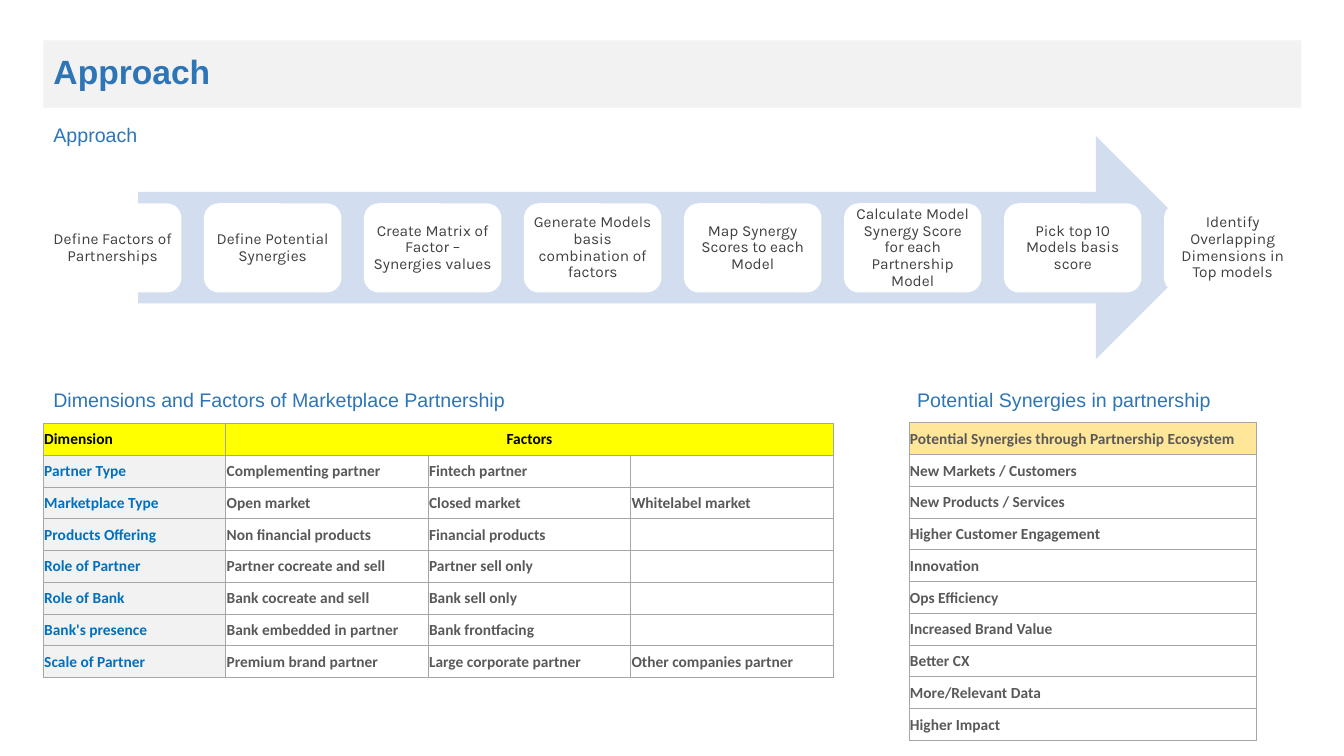
"""Build the Approach slide: process arrow, factor table and synergy table."""
from lxml.etree import SubElement
from pptx import Presentation
from pptx.dml.color import RGBColor
from pptx.enum.shapes import MSO_SHAPE
from pptx.enum.text import MSO_ANCHOR, PP_ALIGN
from pptx.oxml.ns import qn
from pptx.util import Pt

TITLE = "Approach"
HEADINGS = [
    ("Approach", 31, 82, 898.5),
    ("Dimensions and Factors of Marketplace Partnership", 31, 271.5, 479.5),
    ("Potential Synergies in partnership", 648, 271.5, 247.7),
]
STEPS = [
    "Define Factors of Partnerships",
    "Define Potential Synergies",
    "Create Matrix of Factor – Synergies values",
    "Generate Models basis combination of factors",
    "Map Synergy Scores to each Model",
    "Calculate Model Synergy Score for each Partnership Model",
    "Pick top 10 Models basis score",
    "Identify Overlapping Dimensions in Top models",
]
FACTORS = [
    ("Dimension", "Factors", "", ""),
    ("Partner Type", "Complementing partner", "Fintech partner", ""),
    ("Marketplace Type", "Open market", "Closed market", "Whitelabel market"),
    ("Products Offering", "Non financial products", "Financial products", ""),
    ("Role of Partner", "Partner cocreate and sell", "Partner sell only", ""),
    ("Role of Bank", "Bank cocreate and sell", "Bank sell only", ""),
    ("Bank's presence", "Bank embedded in partner", "Bank frontfacing", ""),
    ("Scale of Partner", "Premium brand partner", "Large corporate partner",
     "Other companies partner"),
]
SYNERGIES = [
    "Potential Synergies through Partnership Ecosystem",
    "New Markets / Customers",
    "New Products / Services",
    "Higher Customer Engagement",
    "Innovation",
    "Ops Efficiency",
    "Increased Brand Value",
    "Better CX",
    "More/Relevant Data",
    "Higher Impact",
]
BLUE, GRAY, LIGHT, WHITE = "2E75B6", "595959", "F2F2F2", "FFFFFF"
STEP_LEFT, STEP_PITCH, STEP_WIDTH = 31.4, 114.3, 98.2
ROW_HEIGHT = 22.68


def color(value):
    return RGBColor.from_string(value)


def write_text(frame, text, font="Arial", size=11, ink=BLUE, bold=False,
               align=PP_ALIGN.LEFT, spacing=None):
    paragraph = frame.paragraphs[0]
    paragraph.alignment = align
    paragraph.line_spacing = spacing
    run = paragraph.add_run()
    run.text = text
    run.font.name, run.font.size, run.font.bold = font, Pt(size), bold
    run.font.color.rgb = color(ink)


def add_filled_shape(slide, preset, left, top, width, height, fill):
    shape = slide.shapes.add_shape(preset, Pt(left), Pt(top), Pt(width), Pt(height))
    shape.shadow.inherit = False
    shape.fill.solid()
    shape.fill.fore_color.rgb = color(fill)
    shape.line.fill.background()
    return shape


def add_heading(slide, text, left, top, width):
    frame = slide.shapes.add_textbox(Pt(left), Pt(top), Pt(width), Pt(30.2)).text_frame
    frame.word_wrap = True
    frame.vertical_anchor = MSO_ANCHOR.MIDDLE
    write_text(frame, text, size=14, spacing=0.9)


def add_step(slide, index, text):
    left = STEP_LEFT + index * STEP_PITCH
    box = add_filled_shape(slide, MSO_SHAPE.ROUNDED_RECTANGLE, left, 145.2,
                           STEP_WIDTH, 63.7, WHITE)
    frame = box.text_frame
    frame.word_wrap = True
    frame.vertical_anchor = MSO_ANCHOR.MIDDLE
    frame.margin_left = frame.margin_right = Pt(3.5)
    frame.margin_top = frame.margin_bottom = Pt(3.5)
    write_text(frame, text, font="Karla", ink="404040", align=PP_ALIGN.CENTER, spacing=0.9)


def format_cell(cell, fill):
    cell.vertical_anchor = MSO_ANCHOR.MIDDLE
    cell.margin_left = cell.margin_right = cell.margin_top = Pt(0.6)
    cell.margin_bottom = Pt(0)
    properties = cell._tc.get_or_add_tcPr()
    for side in ("a:lnL", "a:lnR", "a:lnT", "a:lnB"):
        line = SubElement(properties, qn(side), w=str(Pt(0.5)))
        SubElement(SubElement(line, qn("a:solidFill")), qn("a:srgbClr"), val="A6A6A6")
    if fill:
        cell.fill.solid()
        cell.fill.fore_color.rgb = color(fill)
    else:
        cell.fill.background()


def add_grid(slide, rows, left, top, widths, cell_style):
    table = slide.shapes.add_table(len(rows), len(widths), Pt(left), Pt(top),
                                   Pt(sum(widths)), Pt(ROW_HEIGHT * len(rows))).table
    table.first_row = table.horz_banding = False
    for column, width in zip(table.columns, widths):
        column.width = Pt(width)
    for row_index, texts in enumerate(rows):
        table.rows[row_index].height = Pt(ROW_HEIGHT)
        for column_index, text in enumerate(texts):
            fill, ink, align = cell_style(row_index, column_index)
            cell = table.cell(row_index, column_index)
            format_cell(cell, fill)
            if text:
                write_text(cell.text_frame, text, font="Calibri", ink=ink, bold=True,
                           align=align)
    return table


def factor_style(row, column):
    if row == 0:
        return "FFFF00", "000000", PP_ALIGN.CENTER if column else PP_ALIGN.LEFT
    if column == 0:
        return LIGHT, "0070C0", PP_ALIGN.LEFT
    return None, GRAY, PP_ALIGN.LEFT


def synergy_style(row, column):
    return None if row else "FFE699", GRAY, PP_ALIGN.LEFT


def main():
    presentation = Presentation()
    presentation.slide_width, presentation.slide_height = Pt(960), Pt(540)
    slide = presentation.slides.add_slide(presentation.slide_layouts[5])

    title = slide.shapes.title
    title.left, title.top, title.width, title.height = Pt(31), Pt(28.8), Pt(898.5), Pt(48.2)
    title.fill.solid()
    title.fill.fore_color.rgb = color(LIGHT)
    title.text_frame.vertical_anchor = MSO_ANCHOR.MIDDLE
    write_text(title.text_frame, TITLE, size=24, bold=True, spacing=0.9)

    add_filled_shape(slide, MSO_SHAPE.RIGHT_ARROW, 98.6, 97.2, 763.9, 159.3, "D2DEEF")
    for index, text in enumerate(STEPS):
        add_step(slide, index, text)
    for heading in HEADINGS:
        add_heading(slide, *heading)

    factors = add_grid(slide, FACTORS, 31, 302.4, [130.3] + [144.6] * 3, factor_style)
    factors.cell(0, 1).merge(factors.cell(0, 3))
    add_grid(slide, [(name,) for name in SYNERGIES], 649.4, 302, [248], synergy_style)

    presentation.save("out.pptx")


if __name__ == "__main__":
    main()
